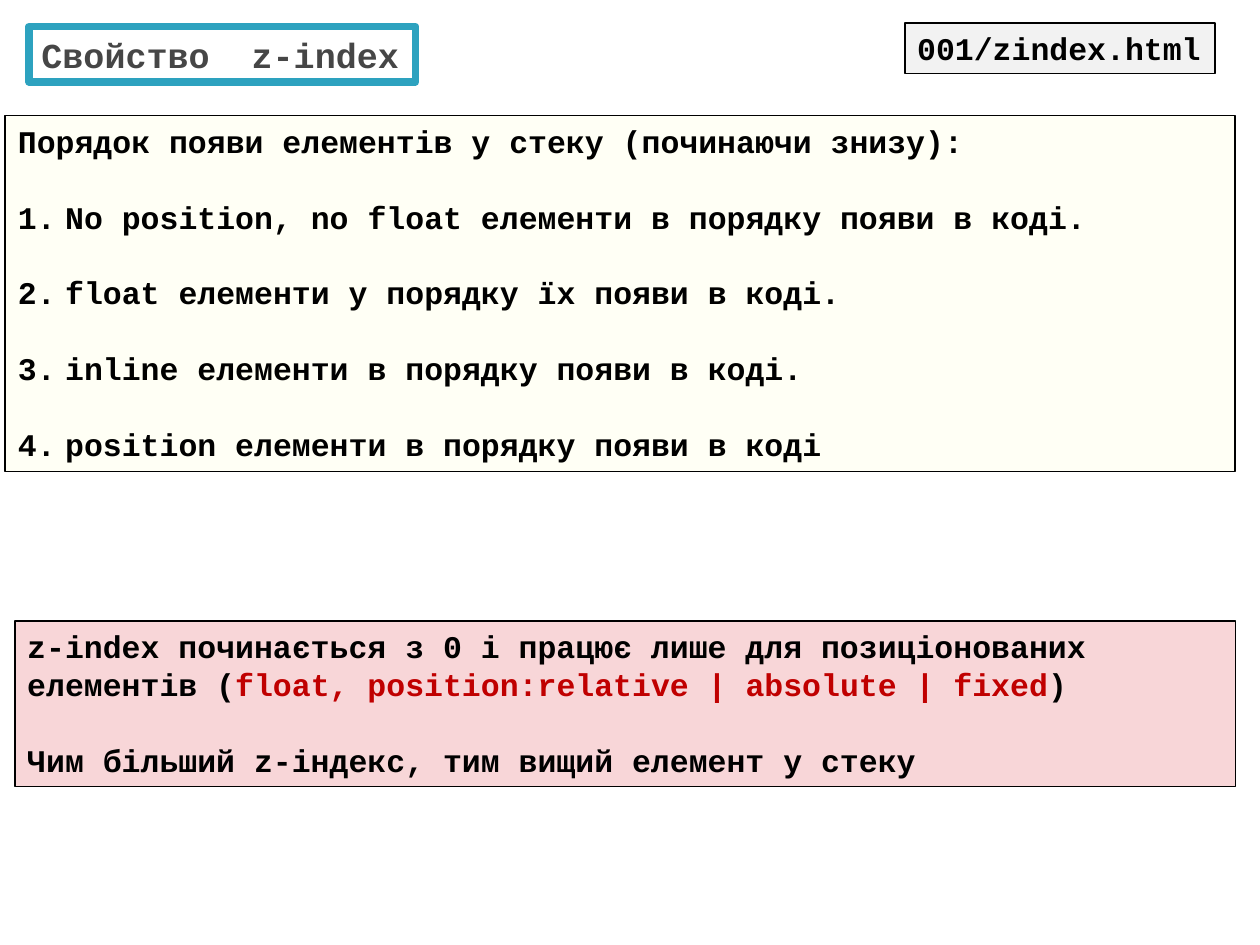
from dataclasses import dataclass

from lxml import etree
from pptx import Presentation
from pptx.dml.color import RGBColor
from pptx.enum.shapes import MSO_SHAPE
from pptx.enum.text import MSO_ANCHOR, MSO_AUTO_SIZE, PP_ALIGN
from pptx.oxml.ns import qn
from pptx.util import Pt

RECTANGLE = MSO_SHAPE.RECTANGLE
TOP, MIDDLE = MSO_ANCHOR.TOP, MSO_ANCHOR.MIDDLE
NO_AUTOFIT = MSO_AUTO_SIZE.NONE
LEFT = PP_ALIGN.LEFT


@dataclass(frozen=True)
class Theme:
    """Colours, type sizes and spacing of the slide."""
    font: str = "Courier New"
    title_size: float = 20
    text_size: float = 18
    gap: float = 21.7
    indent: float = 27
    black: str = "000000"
    white: str = "FFFFFF"
    title: str = "464646"
    frame: str = "2DA2BF"
    label: str = "F2F2F2"
    yellow: str = "FFFF00"
    red: str = "DA1F28"
    accent: str = "C00000"


THEME = Theme()

STACK_ORDER = (
    "No position, no float елементи в порядку появи в коді.",
    "float елементи у порядку їх появи в коді.",
    "inline елементи в порядку появи в коді.",
    "position елементи в порядку появи в коді",
)


def style_box(shape, bounds, fill, line=THEME.black, weight=1, opacity=100, anchor=TOP, wrap=True):
    """Place a shape and set its fill, outline and text frame."""
    shape.left, shape.top, shape.width, shape.height = map(Pt, bounds)
    shape.fill.solid()
    shape.fill.fore_color.rgb = RGBColor.from_string(fill)
    if opacity < 100:
        color = shape._element.spPr.find(qn("a:solidFill")).find(qn("a:srgbClr"))
        etree.SubElement(color, qn("a:alpha"), val=str(opacity * 1000))
    shape.line.color.rgb = RGBColor.from_string(line)
    shape.line.width = Pt(weight)
    frame = shape.text_frame
    frame.auto_size = NO_AUTOFIT
    frame.word_wrap = wrap
    frame.vertical_anchor = anchor
    return frame


def add_box(slide, bounds, fill, **style):
    """Add a rectangle without shadow and return its text frame."""
    shape = slide.shapes.add_shape(RECTANGLE, *map(Pt, bounds))
    shape.shadow.inherit = False
    return style_box(shape, bounds, fill, **style)


def add_text(paragraph, text, size=THEME.text_size, color=THEME.black):
    """Append a bold run to a paragraph."""
    run = paragraph.add_run()
    run.text = text
    run.font.name = THEME.font
    run.font.size = Pt(size)
    run.font.bold = True
    run.font.color.rgb = RGBColor.from_string(color)


def format_paragraph(paragraph, gap=0, numbered=False):
    """Set alignment, the gap above, and numbering of a paragraph."""
    paragraph.alignment = LEFT
    paragraph.space_before = Pt(gap)
    properties = paragraph._p.get_or_add_pPr()
    indent = Pt(THEME.indent) if numbered else 0
    properties.set("marL", str(indent))
    properties.set("indent", str(-indent))
    if numbered:
        etree.SubElement(properties, qn("a:buFont"), typeface=THEME.font)
        etree.SubElement(properties, qn("a:buAutoNum"), type="arabicPeriod")
    else:
        etree.SubElement(properties, qn("a:buNone"))
    return paragraph


def add_title(slide):
    """Fill the framed title."""
    frame = style_box(slide.shapes.title, (16.5, 15.25, 221, 31.5), THEME.white,
                      line=THEME.frame, weight=4.33, anchor=MIDDLE)
    add_text(format_paragraph(frame.paragraphs[0]), "Свойство  z-index",
             size=THEME.title_size, color=THEME.title)


def add_file_label(slide):
    """Add the label with the example's file name."""
    frame = add_box(slide, (517, 13, 177.5, 29), THEME.label, wrap=False)
    add_text(format_paragraph(frame.paragraphs[0]), "001/zindex.html")


def add_stack_order(slide):
    """Fill the numbered list of the stacking order."""
    frame = style_box(slide.placeholders[1], (3, 66, 702.75, 203.5), THEME.yellow, opacity=4)
    add_text(format_paragraph(frame.paragraphs[0]),
             "Порядок появи елементів у стеку (починаючи знизу):")
    for item in STACK_ORDER:
        add_text(format_paragraph(frame.add_paragraph(), gap=THEME.gap, numbered=True), item)


def add_note(slide):
    """Add the note on how z-index works."""
    frame = add_box(slide, (8.5, 355, 697.5, 94.5), THEME.red, opacity=18)
    rule = format_paragraph(frame.paragraphs[0])
    add_text(rule, "z-index починається з 0 і працює лише для позиціонованих елементів (")
    add_text(rule, "float, position:relative | absolute | fixed", color=THEME.accent)
    add_text(rule, ")")
    add_text(format_paragraph(frame.add_paragraph(), gap=THEME.gap),
             "Чим більший z-індекс, тим вищий елемент у стеку")


def main():
    """Build the slide and save it."""
    presentation = Presentation()
    presentation.slide_width, presentation.slide_height = Pt(720), Pt(540)
    slide = presentation.slides.add_slide(presentation.slide_layouts[1])
    add_title(slide)
    add_file_label(slide)
    add_stack_order(slide)
    add_note(slide)
    presentation.save("out.pptx")


if __name__ == "__main__":
    main()
